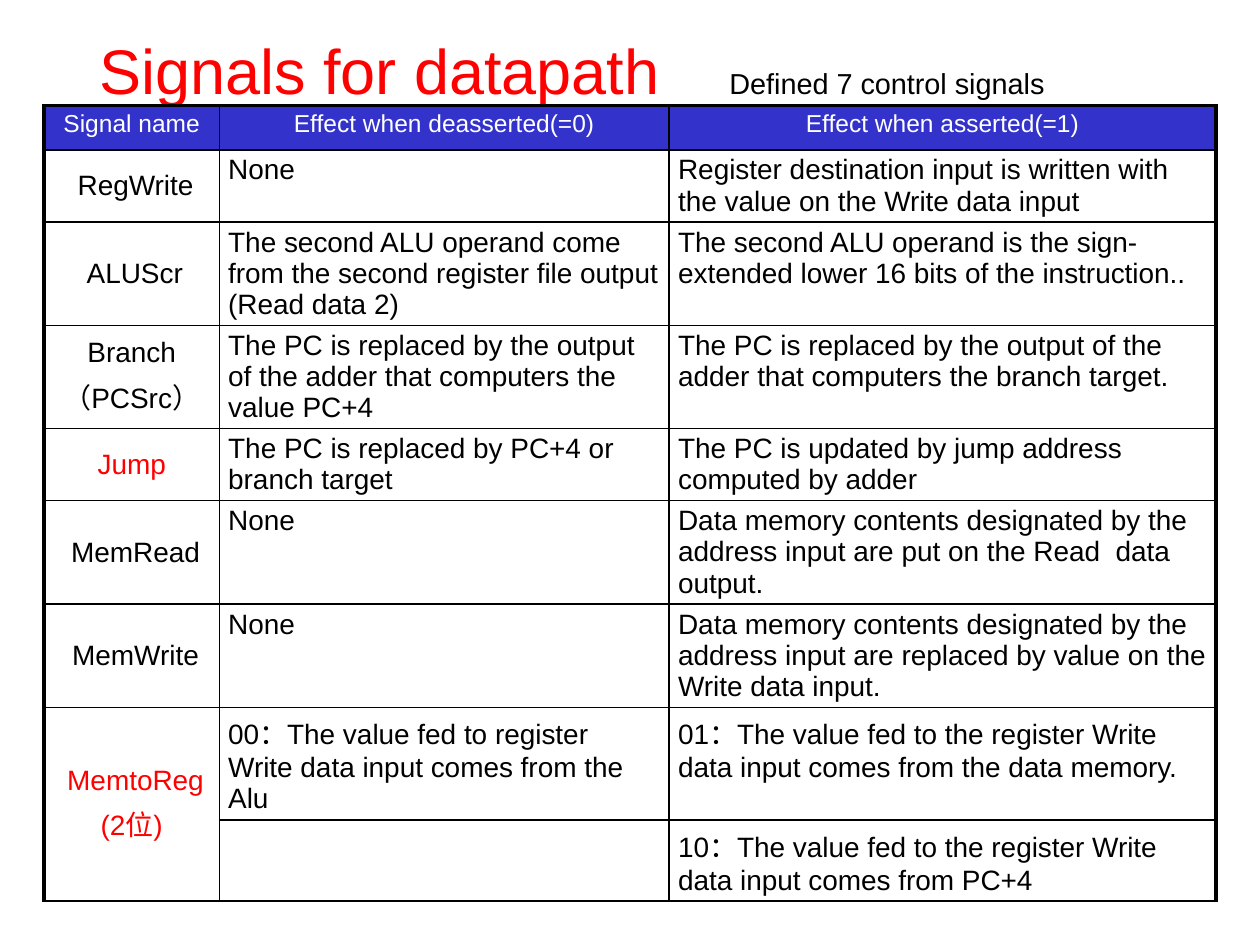
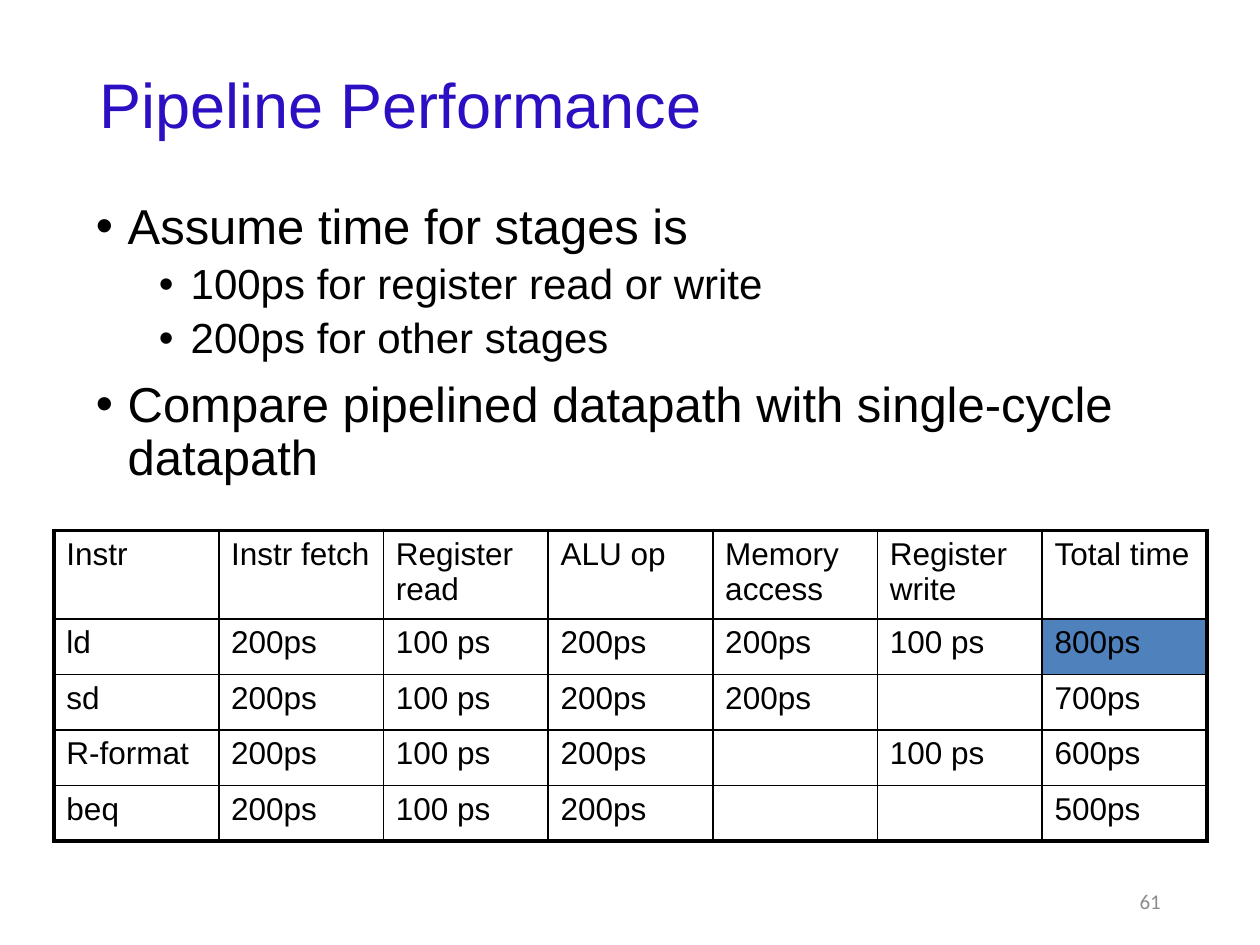
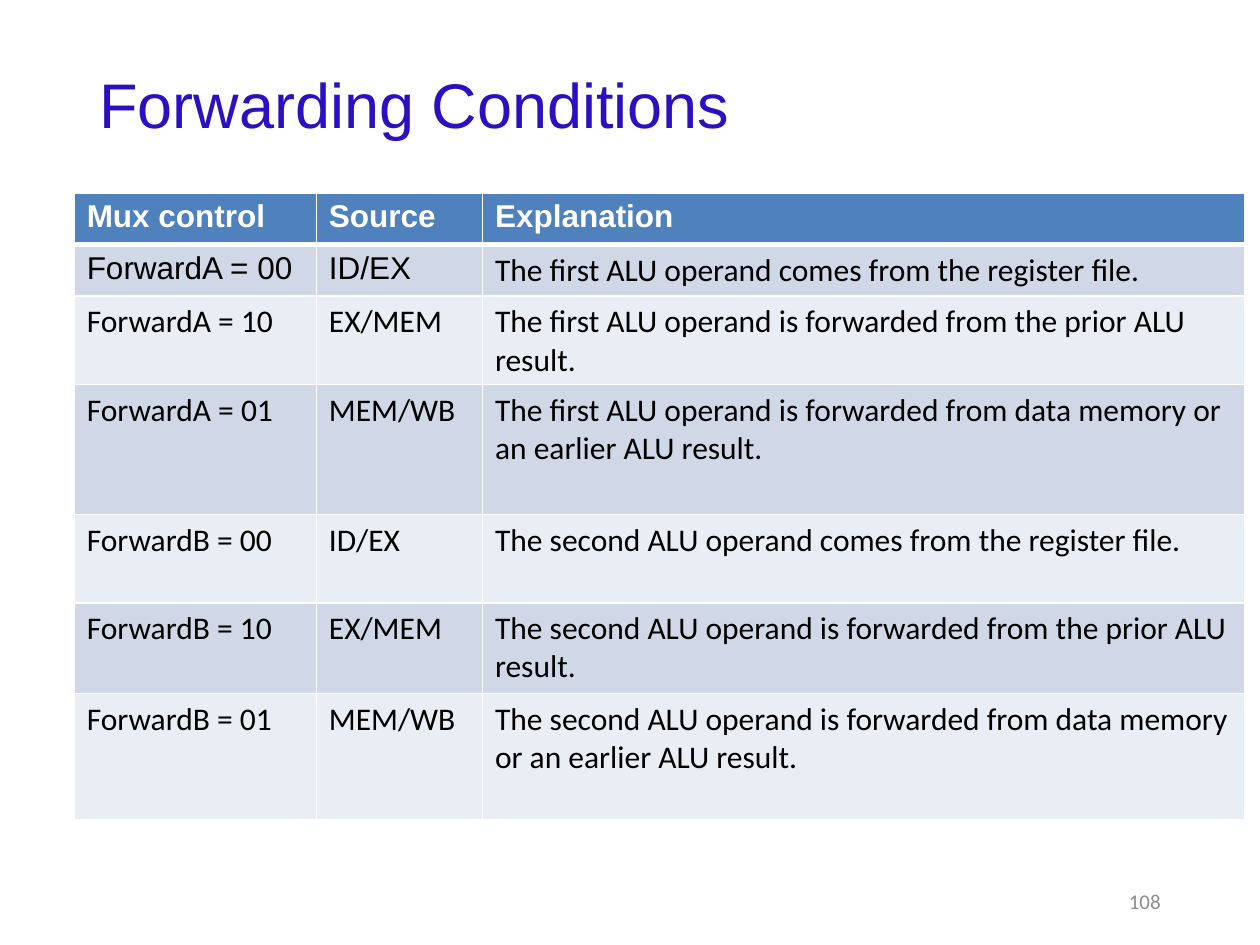
from dataclasses import dataclass

from lxml import etree
from pptx import Presentation
from pptx.dml.color import RGBColor
from pptx.enum import text
from pptx.oxml import ns
from pptx.util import Cm, Pt


@dataclass(frozen=True)
class Theme:
    heading_font: str = "Arial"
    reading_font: str = "Calibri"
    black: str = "000000"
    white: str = "FFFFFF"
    red: str = "FF0000"
    title_blue: str = "2D0FC3"
    header_blue: str = "3333CC"
    accent_blue: str = "4F81BD"
    dark_band: str = "D0D8E8"
    light_band: str = "E9EDF4"
    grey: str = "8C8C8C"
    title_size: float = 36
    remark_size: float = 16.5
    list_sizes: tuple = (28, 24)
    table_size: float = 18
    signal_size: float = 16
    signal_header_size: float = 14
    number_size: float = 12


THEME = Theme()
TITLE_ONLY, TITLE_AND_LIST = 5, 1
TITLE_TOP = 1.02

SIGNALS = [
    ["Signal name", "Effect when deasserted(=0)", "Effect when asserted(=1)"],
    [" RegWrite", "None",
     "Register destination input is written with the value on the Write data input"],
    [" ALUScr", "The second ALU operand come from the second register file output (Read data 2)",
     "The second ALU operand is the sign-extended lower 16 bits of the instruction.."],
    ["Branch\n（PCSrc）",
     "The PC is replaced by the output of the adder that computers the value PC+4",
     "The PC is replaced by the output of the adder that computers the branch target."],
    ["Jump", "The PC is replaced by PC+4 or branch target",
     "The PC is updated by jump address computed by adder"],
    [" MemRead", "None",
     "Data memory contents designated by the address input are put on the Read  data output."],
    [" MemWrite", "None",
     "Data memory contents designated by the address input are replaced by value on the "
     "Write data input."],
    [" MemtoReg\n(2位)",
     "00：The value fed to register Write data input comes from the Alu",
     "01：The value fed to the register Write data input comes from the data memory."],
    ["", "", "10：The value fed to the register Write data input comes from PC+4"],
]
NEW_SIGNAL_ROWS = (4, 7)

STAGE_NOTES = [
    (0, "Assume time for stages is"),
    (1, "100ps for register read or write"),
    (1, "200ps for other stages"),
    (0, "Compare pipelined datapath with single-cycle datapath"),
]
STAGE_TIMES = [
    ["Instr", "Instr fetch", "Register read", "ALU op", "Memory access", "Register write",
     "Total time"],
    ["ld", "200ps", "100 ps", "200ps", "200ps", "100 ps", "800ps"],
    ["sd", "200ps", "100 ps", "200ps", "200ps", "", "700ps"],
    ["R-format", "200ps", "100 ps", "200ps", "", "100 ps", "600ps"],
    ["beq", "200ps", "100 ps", "200ps", "", "", "500ps"],
]
SLOWEST_TOTAL = (1, 6)

FORWARDING = [
    ["Mux control", "Source", "Explanation"],
    ["ForwardA = 00", "ID/EX", "The first ALU operand comes from the register file."],
    ["ForwardA = 10", "EX/MEM", "The first ALU operand is forwarded from the prior ALU result."],
    ["ForwardA = 01", "MEM/WB",
     "The first ALU operand is forwarded from data memory or an earlier ALU result."],
    ["ForwardB = 00", "ID/EX", "The second ALU operand comes from the register file."],
    ["ForwardB = 10", "EX/MEM", "The second ALU operand is forwarded from the prior ALU result."],
    ["ForwardB = 01", "MEM/WB",
     "The second ALU operand is forwarded from data memory or an earlier ALU result."],
]


def place(shape, left, top, width, height):
    shape.left, shape.top = Cm(left), Cm(top)
    shape.width, shape.height = Cm(width), Cm(height)


def format_run(run, size, colour, font=THEME.heading_font, bold=False):
    run.font.size, run.font.name, run.font.bold = Pt(size), font, bold
    run.font.color.rgb = RGBColor.from_string(colour)


def format_frame(frame, size, colour, font=THEME.heading_font, bold=False, align=None):
    for paragraph in frame.paragraphs:
        paragraph.alignment = align
        for run in paragraph.runs:
            format_run(run, size, colour, font, bold)


def add_title(slide, title, colour=THEME.title_blue, top=TITLE_TOP):
    place(slide.shapes.title, 1.75, top, 21.89, 2.31)
    frame = slide.shapes.title.text_frame
    frame.text = title
    frame.auto_size = text.MSO_AUTO_SIZE.NONE
    frame.vertical_anchor = text.MSO_ANCHOR.MIDDLE
    format_frame(frame, THEME.title_size, colour, align=text.PP_ALIGN.LEFT)
    frame.paragraphs[0].line_spacing = 0.9
    return frame.paragraphs[0]


def add_title_remark(paragraph, remark, tab_stop):
    """Continue a title line with smaller text at a tab stop."""
    tabs = etree.SubElement(paragraph._p.get_or_add_pPr(), ns.qn("a:tabLst"))
    etree.SubElement(tabs, ns.qn("a:tab"), pos=str(Cm(tab_stop)), algn="l")
    for content, size in (("\t", 27), (remark, THEME.remark_size)):
        run = paragraph.add_run()
        run.text = content
        format_run(run, size, THEME.black)


def add_list(slide, items):
    body = slide.placeholders[1]
    place(body, 1.68, 3.94, 21.89, 12.09)
    frame = body.text_frame
    frame.text = "\n".join(content for _, content in items)
    frame.auto_size = text.MSO_AUTO_SIZE.NONE
    for index, (paragraph, (level, _)) in enumerate(zip(frame.paragraphs, items)):
        paragraph.level = level
        properties = paragraph._p.get_or_add_pPr()
        properties.set("marL", str(Cm(0.64 + 1.27 * level)))
        properties.set("indent", str(Cm(-0.64)))
        etree.SubElement(properties, ns.qn("a:buFont"), typeface=THEME.heading_font)
        etree.SubElement(properties, ns.qn("a:buChar"), char="•")
        paragraph.line_spacing = 0.9
        paragraph.space_before = Pt((10, 5)[level] if index else 0)
        format_run(paragraph.runs[0], THEME.list_sizes[level], THEME.black)


def add_slide_number(slide, number):
    box = slide.shapes.add_textbox(Cm(17.93), Cm(17.65), Cm(5.72), Cm(1.02))
    frame = box.text_frame
    frame.word_wrap = True
    frame.text = str(number)
    frame.vertical_anchor = text.MSO_ANCHOR.MIDDLE
    format_frame(frame, THEME.number_size, THEME.grey, THEME.reading_font,
                 align=text.PP_ALIGN.RIGHT)


def set_borders(cell, colour, widths):
    """Draw the cell edges; widths in points go left, right, top, bottom."""
    properties = cell._tc.get_or_add_tcPr()
    for side, width in zip("LRTB", widths):
        line = etree.SubElement(properties, ns.qn(f"a:ln{side}"), w=str(Pt(width)))
        fill = etree.SubElement(line, ns.qn("a:solidFill"))
        etree.SubElement(fill, ns.qn("a:srgbClr"), val=colour)


def set_fill(cell, colour):
    if colour is None:
        cell.fill.background()
    else:
        cell.fill.solid()
        cell.fill.fore_color.rgb = RGBColor.from_string(colour)


def set_margins(cell, side, vertical):
    cell.margin_left = cell.margin_right = Cm(side)
    cell.margin_top = cell.margin_bottom = Cm(vertical)


def add_grid(slide, rows, left, top, widths, heights, line_colour,
             edges=(1, 1, 1, 1), header_rule=1):
    """Add a ruled table; edges are the outer widths: left, right, top, bottom."""
    graphic = slide.shapes.add_table(len(rows), len(widths), Cm(left), Cm(top),
                                     Cm(sum(widths)), Cm(sum(heights)))
    table = graphic.table
    table.first_row = table.horz_banding = False
    for column, width in zip(table.columns, widths):
        column.width = Cm(width)
    for row, height in zip(table.rows, heights):
        row.height = Cm(height)
    last_row, last_column = len(rows) - 1, len(widths) - 1
    for r, contents in enumerate(rows):
        for c, content in enumerate(contents):
            cell = table.cell(r, c)
            cell.text_frame.text = content
            set_margins(cell, 0.25, 0.13)
            set_borders(cell, line_colour, (
                edges[0] if c == 0 else 1,
                edges[1] if c == last_column else 1,
                edges[2] if r == 0 else header_rule if r == 1 else 1,
                edges[3] if r == last_row else header_rule if r == 0 else 1,
            ))
    return graphic


def each_cell(table):
    for r, row in enumerate(table.rows):
        for c, cell in enumerate(row.cells):
            yield r, c, cell


def build_signals(slide):
    paragraph = add_title(slide, "Signals for datapath ", THEME.red, top=0.33)
    add_title_remark(paragraph, "Defined 7 control signals", tab_stop=12.7)
    heights = (0.89, 1.4, 1.27, 1.4, 1.09, 1.63, 1.4, 1.4, 1.24)
    graphic = add_grid(slide, SIGNALS, 0.89, 2.13, (3.53, 9.07, 11.02), heights,
                       THEME.black, edges=(2.25, 2.25, 2.25, 1))
    graphic.height = Cm(16.64)
    for r, c, cell in each_cell(graphic.table):
        set_margins(cell, 0.18 if c else 0, 0.1)
        set_fill(cell, THEME.white if r else THEME.header_blue)
        align = text.PP_ALIGN.LEFT if r and c else text.PP_ALIGN.CENTER
        if r == 0:
            format_frame(cell.text_frame, THEME.signal_header_size, THEME.white, align=align)
            continue
        colour = THEME.red if c == 0 and r in NEW_SIGNAL_ROWS else THEME.black
        format_frame(cell.text_frame, THEME.signal_size, colour, align=align)
        if c == 0:
            cell.vertical_anchor = text.MSO_ANCHOR.MIDDLE
        for later in cell.text_frame.paragraphs[1:]:
            later.space_before = Pt(4)
    graphic.table.cell(7, 0).merge(graphic.table.cell(8, 0))


def build_performance(slide):
    add_list(slide, STAGE_NOTES)
    add_title(slide, "Pipeline Performance")
    add_slide_number(slide, 61)
    graphic = add_grid(slide, STAGE_TIMES, 1.09, 10.69, [3.32] * 7, [1.78] + [1.12] * 4,
                       THEME.black, edges=[2.25] * 4, header_rule=1.5)
    for r, c, cell in each_cell(graphic.table):
        set_fill(cell, THEME.accent_blue if (r, c) == SLOWEST_TOTAL else None)
        format_frame(cell.text_frame, THEME.table_size, THEME.black)


def build_forwarding(slide):
    add_title(slide, "Forwarding Conditions")
    add_slide_number(slide, 108)
    heights = (1.04, 1.04, 1.78, 2.62, 1.78, 1.83, 2.54)
    graphic = add_grid(slide, FORWARDING, 1.5, 3.89, (4.88, 3.35, 15.37), heights,
                       THEME.white, header_rule=3)
    for r, c, cell in each_cell(graphic.table):
        if r == 0:
            set_fill(cell, THEME.accent_blue)
            format_frame(cell.text_frame, THEME.table_size, THEME.white, bold=True)
        else:
            set_fill(cell, THEME.dark_band if r % 2 else THEME.light_band)
            font = THEME.heading_font if r == 1 and c < 2 else THEME.reading_font
            format_frame(cell.text_frame, THEME.table_size, THEME.black, font)


def main():
    presentation = Presentation()
    presentation.slide_width, presentation.slide_height = Cm(25.4), Cm(19.05)
    for layout, build in ((TITLE_ONLY, build_signals),
                          (TITLE_AND_LIST, build_performance),
                          (TITLE_ONLY, build_forwarding)):
        build(presentation.slides.add_slide(presentation.slide_layouts[layout]))
    presentation.save("out.pptx")


if __name__ == "__main__":
    main()
